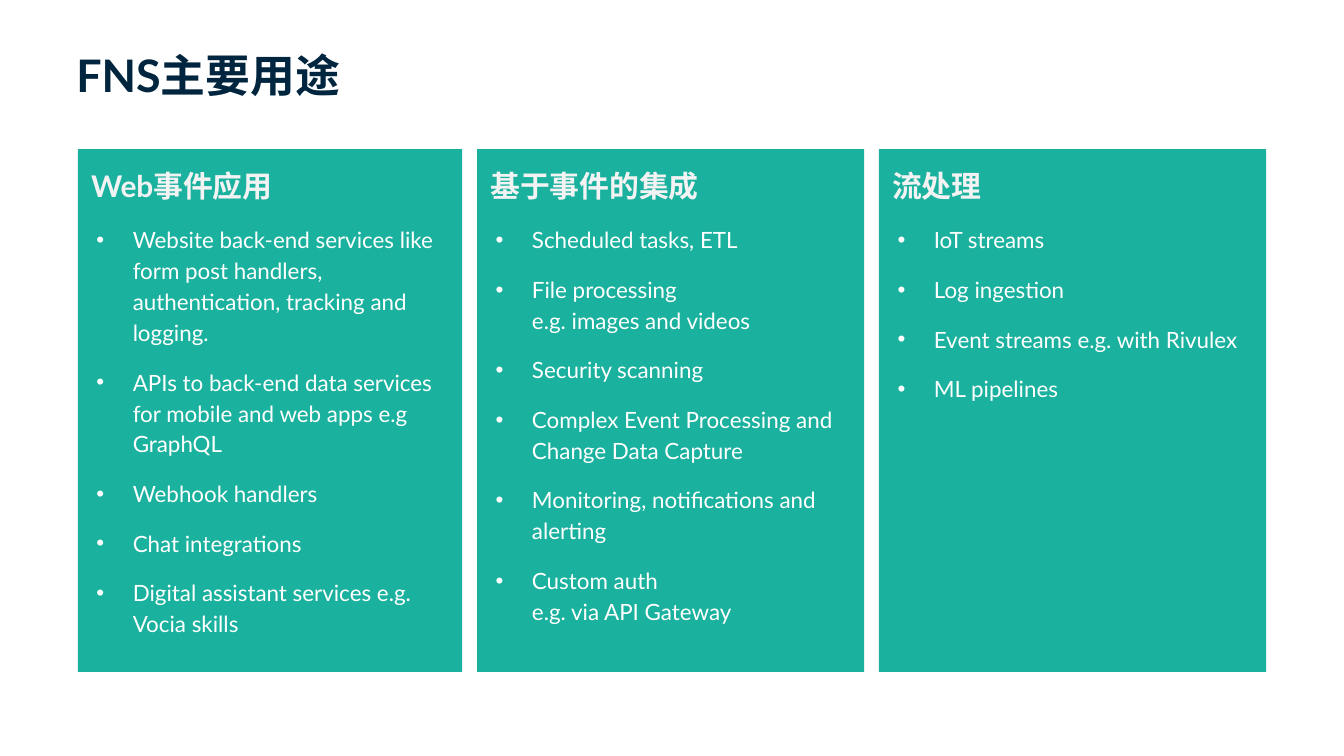
from dataclasses import dataclass

from lxml.etree import SubElement
from pptx import Presentation
from pptx.dml.color import RGBColor
from pptx.enum.shapes import MSO_SHAPE
from pptx.enum.text import MSO_ANCHOR, PP_ALIGN
from pptx.oxml.ns import qn
from pptx.util import Inches, Pt


@dataclass(frozen=True)
class Theme:
    font: str = "Lato"
    navy: str = "00253E"
    teal: str = "1AB19E"
    heading: str = "F3F3F3"
    body: str = "FFFFFF"
    title_size: int = 24
    heading_size: int = 16
    body_size: int = 12


class SlideBuilder:
    def __init__(self, slide, theme):
        self.slide = slide
        self.theme = theme

    def style(self, paragraph, size, color, bold=False):
        paragraph.alignment = PP_ALIGN.LEFT
        font = paragraph.font
        font.name = self.theme.font
        font.size = Pt(size)
        font.bold = bold
        font.color.rgb = RGBColor.from_string(color)

    def frame(self, shape, anchor):
        frame = shape.text_frame
        frame.word_wrap = True
        frame.vertical_anchor = anchor
        frame.margin_left = frame.margin_right = Inches(0.1)
        frame.margin_top = frame.margin_bottom = Inches(0.1)
        return frame

    def title(self, text, left, top, width, height):
        shape = self.slide.shapes.add_textbox(
            Inches(left), Inches(top), Inches(width), Inches(height))
        paragraph = self.frame(shape, MSO_ANCHOR.MIDDLE).paragraphs[0]
        paragraph.text = text
        self.style(paragraph, self.theme.title_size, self.theme.navy, bold=True)

    def bullet(self, paragraph):
        properties = paragraph._p.get_or_add_pPr()
        properties.set("marL", str(Inches(0.31)))
        properties.set("indent", str(Inches(-0.27)))
        color = SubElement(properties, qn("a:buClr"))
        SubElement(color, qn("a:srgbClr"), val=self.theme.body)
        SubElement(properties, qn("a:buFont"), typeface="Arial")
        SubElement(properties, qn("a:buChar"), char="•")

    def card(self, heading, items, left, top, width, height):
        theme = self.theme
        shape = self.slide.shapes.add_shape(
            MSO_SHAPE.RECTANGLE,
            Inches(left), Inches(top), Inches(width), Inches(height))
        shape.shadow.inherit = False
        shape.fill.solid()
        shape.fill.fore_color.rgb = RGBColor.from_string(theme.teal)
        shape.line.fill.background()
        frame = self.frame(shape, MSO_ANCHOR.TOP)
        paragraph = frame.paragraphs[0]
        paragraph.text = heading
        self.style(paragraph, theme.heading_size, theme.heading, bold=True)
        for item in items:
            paragraph = frame.add_paragraph()
            paragraph.text = item
            self.bullet(paragraph)
            self.style(paragraph, theme.body_size, theme.body)
        for paragraph in frame.paragraphs:
            paragraph.line_spacing = 1.15
            paragraph.space_after = Pt(10)


CARDS = [
    (2.86, "Web事件应用", [
        "Website back-end services like form post handlers, "
        "authentication, tracking and logging.",
        "APIs to back-end data services for mobile and web apps e.g GraphQL",
        "Webhook handlers",
        "Chat integrations",
        "Digital assistant services e.g. Vocia skills",
    ]),
    (2.88, "基于事件的集成", [
        "Scheduled tasks, ETL",
        "File processing\ve.g. images and videos",
        "Security scanning",
        "Complex Event Processing and Change Data Capture",
        "Monitoring, notifications and alerting",
        "Custom auth\ve.g. via API Gateway",
    ]),
    (2.88, "流处理", [
        "IoT streams",
        "Log ingestion",
        "Event streams e.g. with Rivulex",
        "ML pipelines",
    ]),
]
CARD_GAP = 0.11


def main():
    presentation = Presentation()
    presentation.slide_width = Inches(10)
    presentation.slide_height = Inches(10 * 9 / 16)
    slide = presentation.slides.add_slide(presentation.slide_layouts[6])
    builder = SlideBuilder(slide, Theme())
    builder.title("FNS主要用途", 0.47, 0.25, 9.47, 0.61)
    left = 0.58
    for width, heading, items in CARDS:
        builder.card(heading, items, left, 1.11, width, 3.89)
        left += width + CARD_GAP
    presentation.save("out.pptx")


if __name__ == "__main__":
    main()
